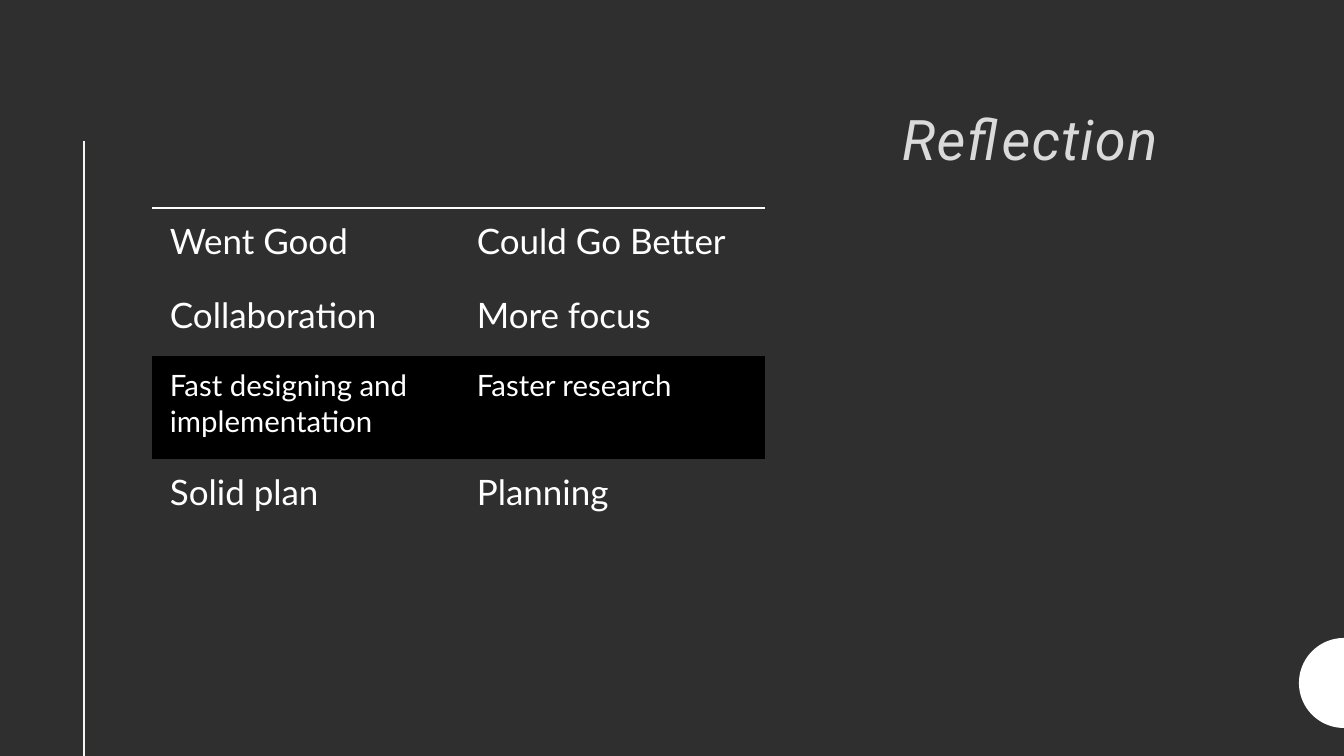
"""Build the Reflection slide with its two-column review table."""
from math import cos, pi, sin

from lxml.etree import SubElement
from pptx import Presentation
from pptx.dml.color import RGBColor
from pptx.enum.shapes import MSO_CONNECTOR
from pptx.enum.text import MSO_ANCHOR
from pptx.oxml import parse_xml
from pptx.oxml.ns import nsdecls, qn
from pptx.util import Pt

TITLE = "Reflection"
ROWS = [
    ("Went Good", "Could Go Better"),
    ("Collaboration", "More focus"),
    ("Fast designing and implementation", "Faster research"),
    ("Solid plan", "Planning"),
]
HIGHLIGHTED_ROW = 2

THEME = {
    "background": "2F2F2F",
    "white": "FFFFFF",
    "rule": "F6F4EF",
    "title": "DADADA",
    "highlight": "000000",
    "title_font": "Roboto",
    "body_font": "Lato",
    "title_size": 40,
    "body_size": 25,
    "highlight_size": 21,
}

SLIDE_W, SLIDE_H = 1344, 756
TITLE_BOX = (892, 107, 346, 290)
TABLE_LEFT, TABLE_TOP = 152, 208
COLUMN_WIDTHS = (307, 306)
ROW_HEIGHTS = (74, 74, 103, 74)
CELL_INSETS = {"margin_left": 18, "margin_top": 12, "margin_right": 18, "margin_bottom": 12}
RULE_X, RULE_TOP = 84, 141
CIRCLE_Y, CIRCLE_R = 683, 45
ARC_STEPS = 48
NO_STYLE = "{2D5ABB26-0587-4C30-8999-92F81FD0307C}"


def px(n):
    return round(n * 914400 / 100.8)


def color(name):
    return RGBColor.from_string(THEME[name])


def style(p, font, size, fill):
    f = p.runs[0].font
    f.name, f.size, f.bold = THEME[font], Pt(THEME[size]), False
    f.color.rgb = color(fill)
    return f


def add_half_circle(s):
    angles = [pi / 2 + pi * i / ARC_STEPS for i in range(ARC_STEPS + 1)]
    points = [(px(SLIDE_W + CIRCLE_R * cos(a)), px(CIRCLE_Y + CIRCLE_R * sin(a))) for a in angles]
    builder = s.shapes.build_freeform(*points[0])
    builder.add_line_segments(points[1:], close=True)
    sp = builder.convert_to_shape()
    sp.shadow.inherit = False
    sp.fill.solid()
    sp.fill.fore_color.rgb = color("white")
    sp.line.fill.background()


def add_rule(s):
    line = s.shapes.add_connector(
        MSO_CONNECTOR.STRAIGHT, px(RULE_X), px(RULE_TOP), px(RULE_X), px(SLIDE_H))
    line.line.color.rgb = color("rule")
    line.line.width = Pt(1.5)
    SubElement(line._element.spPr, qn("a:effectLst"))


def add_title(s):
    tf = s.shapes.add_textbox(*map(px, TITLE_BOX)).text_frame
    tf.word_wrap = True
    tf.vertical_anchor = MSO_ANCHOR.TOP
    tf.text = TITLE
    p = tf.paragraphs[0]
    p.line_spacing = 0.9
    f = style(p, "title_font", "title_size", "title")
    f.italic = True
    p.runs[0]._r.get_or_add_rPr().set("spc", "100")


def add_top_border(cell):
    cell._tc.get_or_add_tcPr().insert(0, parse_xml(
        f'<a:lnT {nsdecls("a")} w="{Pt(2.25)}"><a:solidFill>'
        f'<a:srgbClr val="{THEME["white"]}"/></a:solidFill></a:lnT>'))


def fill_cell(cell, text, row):
    highlighted = row == HIGHLIGHTED_ROW
    for side, inset in CELL_INSETS.items():
        setattr(cell, side, px(inset))
    cell.text = text
    style(cell.text_frame.paragraphs[0], "body_font",
          "highlight_size" if highlighted else "body_size", "white")
    if highlighted:
        cell.fill.solid()
        cell.fill.fore_color.rgb = color("highlight")
    else:
        cell.fill.background()
    if row == 0:
        add_top_border(cell)


def add_review_table(s):
    table = s.shapes.add_table(
        len(ROWS), len(COLUMN_WIDTHS), px(TABLE_LEFT), px(TABLE_TOP),
        px(sum(COLUMN_WIDTHS)), px(sum(ROW_HEIGHTS))).table
    table.first_row = table.horz_banding = False
    table._tbl.tblPr.find(qn("a:tableStyleId")).text = NO_STYLE
    for column, width in zip(table.columns, COLUMN_WIDTHS):
        column.width = px(width)
    for row, height in zip(table.rows, ROW_HEIGHTS):
        row.height = px(height)
    for r, texts in enumerate(ROWS):
        for c, text in enumerate(texts):
            fill_cell(table.cell(r, c), text, r)


def main():
    prs = Presentation()
    prs.slide_width, prs.slide_height = px(SLIDE_W), px(SLIDE_H)
    s = prs.slides.add_slide(prs.slide_layouts[6])
    s.background.fill.solid()
    s.background.fill.fore_color.rgb = color("background")
    add_half_circle(s)
    add_rule(s)
    add_title(s)
    add_review_table(s)
    prs.save("out.pptx")


if __name__ == "__main__":
    main()
